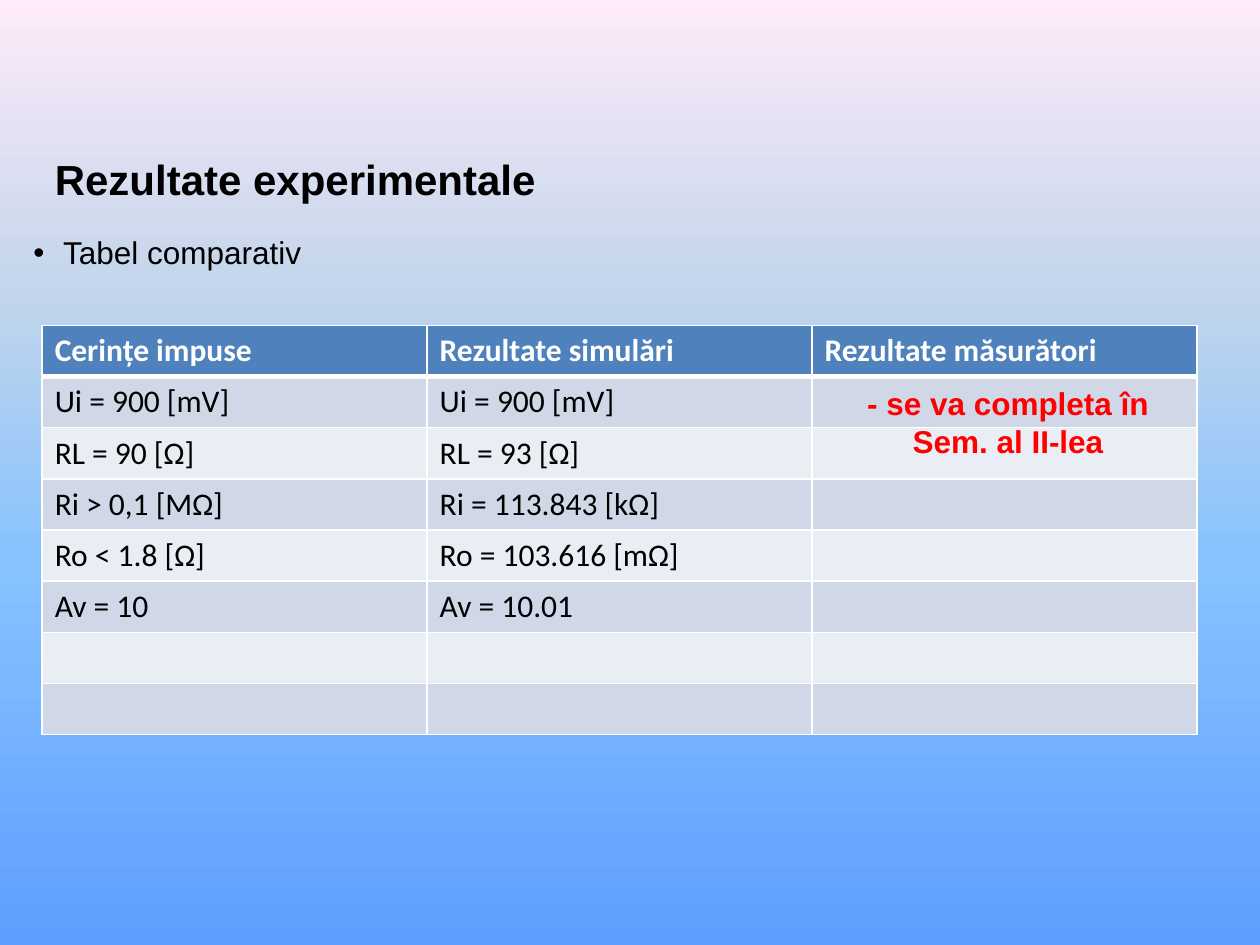
from dataclasses import dataclass

from lxml.etree import SubElement
from pptx import Presentation
from pptx.dml.color import RGBColor
from pptx.enum.text import MSO_ANCHOR as Anchor, MSO_AUTO_SIZE as AutoSize, PP_ALIGN as Align
from pptx.oxml import parse_xml
from pptx.oxml.ns import nsdecls, qn
from pptx.util import Cm, Pt


@dataclass(frozen=True)
class Theme:
    heading_font: str = "Arial"
    table_font: str = "Calibri"
    title_size: int = 24
    text_size: int = 18
    text: str = "000000"
    light: str = "FFFFFF"
    alert: str = "FF0000"
    header_fill: str = "4F81BD"
    band_fills: tuple = ("D0D8E8", "E9EDF4")
    background: tuple = ((0, "5E9EFF"), (40, "85C2FF"), (70, "C4D6EB"), (100, "FFEBFA"))


HEADERS = ["Cerințe impuse", "Rezultate simulări", "Rezultate măsurători"]
RESULTS = [
    ["Ui = 900 [mV]", "Ui = 900 [mV]", ""],
    ["RL = 90 [Ω]", "RL = 93 [Ω]", ""],
    ["Ri > 0,1 [MΩ]", "Ri = 113.843 [kΩ]", ""],
    ["Ro < 1.8 [Ω]", "Ro = 103.616 [mΩ]", ""],
    ["Av = 10", "Av = 10.01", ""],
    ["", "", ""],
    ["", "", ""],
]


def write_text(text_frame, text, *, font, size, color, bold=False, align=Align.LEFT):
    """Fill the first paragraph with one formatted run and return the paragraph."""
    paragraph = text_frame.paragraphs[0]
    paragraph.alignment = align
    run = paragraph.add_run()
    run.text = text
    run.font.name = font
    run.font.size = Pt(size)
    run.font.bold = bold
    run.font.color.rgb = RGBColor.from_string(color)
    return paragraph


def place(shape, left, top, width, height):
    shape.left, shape.top, shape.width, shape.height = map(Cm, (left, top, width, height))


class SlideBuilder:
    def __init__(self, slide, theme):
        self.slide = slide
        self.theme = theme

    def background(self):
        fill = self.slide.background.fill
        fill.gradient()
        fill.gradient_angle = 90
        stops = fill.gradient_stops
        stop_list = self.slide.element.find(".//" + qn("a:gsLst"))
        for stop in list(stop_list):
            stop_list.remove(stop)
        for position, color in self.theme.background:
            stop = SubElement(stop_list, qn("a:gs"), pos=str(position * 1000))
            SubElement(stop, qn("a:srgbClr"), val=color)

    def placeholder(self, shape, text, box, **text_format):
        place(shape, *box)
        frame = shape.text_frame
        frame.auto_size = AutoSize.NONE
        frame.vertical_anchor = Anchor.MIDDLE
        return write_text(frame, text, font=self.theme.heading_font,
                          color=self.theme.text, **text_format)

    def title(self, text, box):
        self.placeholder(self.slide.shapes.title, text, box,
                         size=self.theme.title_size, bold=True)

    def bullet(self, text, box):
        paragraph = self.placeholder(self.slide.placeholders[1], text, box,
                                     size=self.theme.text_size, align=Align.JUSTIFY)
        paragraph.space_before = Pt(0)
        properties = paragraph._p.get_or_add_pPr()
        indent = Cm(0.6)
        properties.set("marL", str(indent))
        properties.set("indent", str(-indent))

    def cell_borders(self, cell, **widths):
        """Draw the sides in the order that the schema asks for: L, R, T, B."""
        properties = cell._tc.get_or_add_tcPr()
        for index, side in enumerate("LRTB"):
            width = Pt(widths.get(side, 1))
            properties.insert(index, parse_xml(
                f'<a:ln{side} {nsdecls("a")} w="{width}"><a:solidFill>'
                f'<a:srgbClr val="{self.theme.light}"/></a:solidFill></a:ln{side}>'))

    def table(self, headers, rows, box):
        theme = self.theme
        lines = [headers, *rows]
        left, top, width, height = map(Cm, box)
        table = self.slide.shapes.add_table(
            len(lines), len(headers), left, top, width, height).table
        for row_index, line in enumerate(lines):
            is_header = row_index == 0
            fill = theme.header_fill if is_header else theme.band_fills[(row_index - 1) % 2]
            widths = {0: {"B": 3}, 1: {"T": 3}}.get(row_index, {})
            for column_index, text in enumerate(line):
                cell = table.cell(row_index, column_index)
                cell.fill.solid()
                cell.fill.fore_color.rgb = RGBColor.from_string(fill)
                self.cell_borders(cell, **widths)
                if text:
                    write_text(cell.text_frame, text, font=theme.table_font,
                               size=theme.text_size, bold=is_header,
                               color=theme.light if is_header else theme.text)

    def note(self, text, box):
        frame = self.slide.shapes.add_textbox(*map(Cm, box)).text_frame
        frame.word_wrap = True
        frame.auto_size = AutoSize.SHAPE_TO_FIT_TEXT
        write_text(frame, text, font=self.theme.heading_font, size=self.theme.text_size,
                   color=self.theme.alert, bold=True, align=Align.CENTER)


def main():
    presentation = Presentation()
    presentation.slide_width, presentation.slide_height = Cm(25.4), Cm(19.05)
    slide = presentation.slides.add_slide(presentation.slide_layouts[1])
    builder = SlideBuilder(slide, Theme())

    # Background and headings
    builder.background()
    builder.title("Rezultate experimentale", (0.85, 2.96, 21.59, 1.27))
    builder.bullet("Tabel comparativ", (0.42, 4.45, 23.71, 1.27))

    # Comparison of requirements, simulations and measurements
    builder.table(HEADERS, RESULTS, (0.85, 6.56, 23.28, 8.25))
    builder.note("- se va completa în Sem. al II-lea", (16.51, 7.62, 7.62, 1.8))

    presentation.save("out.pptx")


if __name__ == "__main__":
    main()
